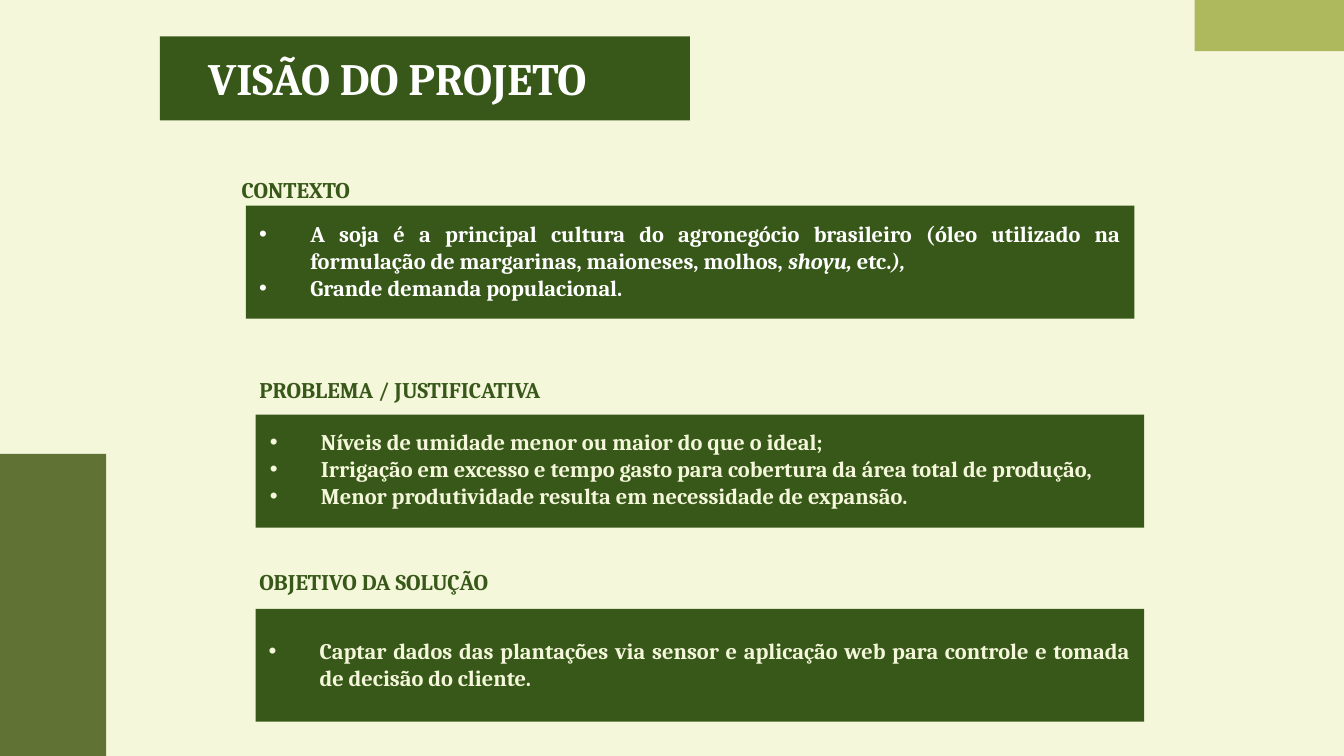
from lxml import etree
from pptx import Presentation
from pptx.dml.color import RGBColor
from pptx.enum.shapes import MSO_SHAPE
from pptx.enum.text import MSO_AUTO_SIZE, PP_ALIGN
from pptx.oxml.ns import qn
from pptx.util import Pt

THEME = {
    "font": "Cambria",
    "cream": "F4F7DA",
    "green": "385819",
    "white": "FFFFFF",
    "olive": "324A00",
    "lime": "7C8C03",
    "title_size": 24,
    "body_size": 12,
}
SLIDE_SIZE = (720, 405)
INDENT = 27.36
PANEL_SIZE = (476, 60.5)
HEADING_HEIGHT = 37.4

# Boxes are left, top, width, height
ACCENTS = [
    {"box": (0, 243.2, 56.9, 162), "color": "olive", "opacity": 76},
    {"box": (640, 0, 80, 27.5), "color": "lime", "opacity": 58},
]
TITLE = {
    "text": "VISÃO DO PROJETO",
    "panel": (85.6, 19.5, 284, 45),
    "box": (104.4, 23.8, 270, 36.4),
}
# Each bullet is a list of runs; every second run is italic
SECTIONS = [
    {
        "heading": "CONTEXTO",
        "heading_box": (122.4, 87.1, 78.5, HEADING_HEIGHT),
        "panel_at": (131.8, 110.2),
        "text_at": (131.8, 114.5),
        "text_height": 67.7,
        "color": "white",
        "bullets": [
            ["A soja é a principal cultura do agronegócio brasileiro (óleo utilizado na "
             "formulação de margarinas, maioneses, molhos, ", "shoyu, ", "etc.", "),"],
            ["Grande demanda populacional."],
        ],
    },
    {
        "heading": "PROBLEMA / JUSTIFICATIVA",
        "heading_box": (131.8, 194.5, 294.5, HEADING_HEIGHT),
        "panel_at": (137, 222.2),
        "text_at": (137.5, 226.1),
        "text_height": 67.7,
        "color": "cream",
        "bullets": [
            ["Níveis de umidade menor ou maior do que o ideal;"],
            ["Irrigação em excesso e tempo gasto para cobertura da área total de produção,"],
            ["Menor produtividade resulta em necessidade de expansão."],
        ],
    },
    {
        "heading": "OBJETIVO DA SOLUÇÃO",
        "heading_box": (131.8, 297.4, 294.5, HEADING_HEIGHT),
        "panel_at": (137, 326.2),
        "text_at": (136.8, 337.7),
        "text_height": 53.3,
        "color": "cream",
        "bullets": [
            ["Captar dados das plantações via sensor e aplicação web para controle "
             "e tomada de decisão do cliente."],
        ],
    },
]


def rgb(name):
    return RGBColor.from_string(THEME[name])


def add_panel(slide, box, color, opacity=100):
    panel = slide.shapes.add_shape(MSO_SHAPE.RECTANGLE, *map(Pt, box))
    panel.shadow.inherit = False
    panel.line.fill.background()
    panel.fill.solid()
    panel.fill.fore_color.rgb = rgb(color)
    if opacity < 100:
        solid_color = panel.fill._xPr.find(qn("a:solidFill"))[0]
        etree.SubElement(solid_color, qn("a:alpha"), val=str(opacity * 1000))


def add_bullet(paragraph, color):
    """Give the paragraph a hanging indent and a coloured bullet."""
    properties = paragraph._p.get_or_add_pPr()
    properties.set("marL", str(Pt(INDENT)))
    properties.set("indent", str(-Pt(INDENT)))
    bullet_color = etree.SubElement(properties, qn("a:buClr"))
    etree.SubElement(bullet_color, qn("a:srgbClr"), val=THEME[color])
    etree.SubElement(properties, qn("a:buFont"), typeface="Arial")
    etree.SubElement(properties, qn("a:buChar"), char="•")


def add_text(slide, box, paragraphs, color, size="body_size", inset=None,
             align=PP_ALIGN.JUSTIFY, bulleted=False):
    """Add a text box from paragraphs whose runs alternate upright and italic."""
    frame = slide.shapes.add_textbox(*map(Pt, box)).text_frame
    frame.word_wrap = True
    frame.auto_size = MSO_AUTO_SIZE.SHAPE_TO_FIT_TEXT if inset is None else MSO_AUTO_SIZE.NONE
    if inset is not None:
        for side in ("left", "top", "right", "bottom"):
            setattr(frame, f"margin_{side}", Pt(inset))
    for number, runs in enumerate(paragraphs):
        paragraph = frame.add_paragraph() if number else frame.paragraphs[0]
        paragraph.alignment = align
        if bulleted:
            add_bullet(paragraph, color)
        for position, text in enumerate(runs):
            run = paragraph.add_run()
            run.text = text
            style = {"name": THEME["font"], "size": Pt(THEME[size]),
                     "bold": True, "italic": position % 2 == 1}
            for attribute, value in style.items():
                setattr(run.font, attribute, value)
            run.font.color.rgb = rgb(color)


def main():
    deck = Presentation()
    deck.slide_width, deck.slide_height = map(Pt, SLIDE_SIZE)
    slide = deck.slides.add_slide(deck.slide_layouts[6])
    slide.background.fill.solid()
    slide.background.fill.fore_color.rgb = rgb("cream")

    for accent in ACCENTS:
        add_panel(slide, **accent)

    add_panel(slide, TITLE["panel"], "green")
    add_text(slide, TITLE["box"], [[TITLE["text"]]], "white", "title_size",
             align=PP_ALIGN.LEFT)

    for section in SECTIONS:
        add_text(slide, section["heading_box"], [[section["heading"]]], "green", inset=7.2)
        add_panel(slide, section["panel_at"] + PANEL_SIZE, "green")
        text_box = section["text_at"] + (PANEL_SIZE[0], section["text_height"])
        add_text(slide, text_box, section["bullets"], section["color"], bulleted=True)

    deck.save("out.pptx")


if __name__ == "__main__":
    main()
